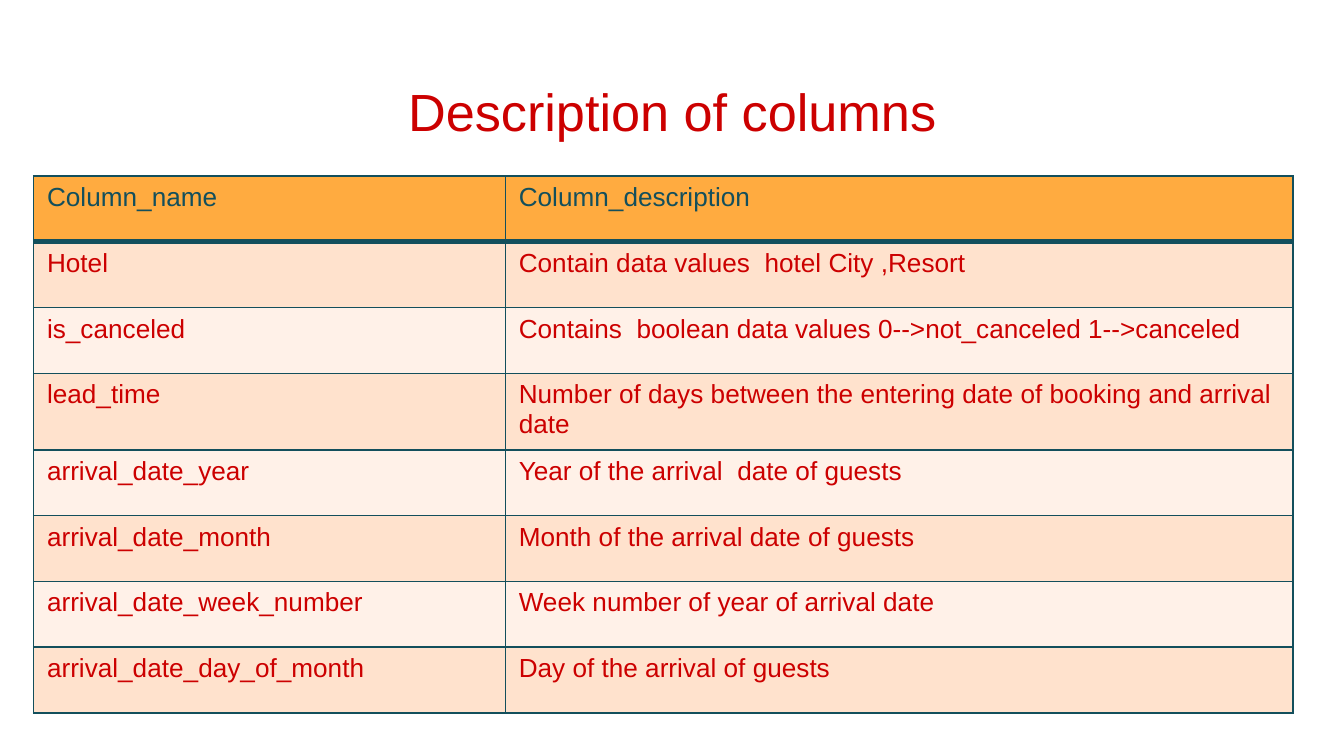
from lxml.etree import SubElement
from pptx import Presentation
from pptx.dml.color import RGBColor
from pptx.enum.text import MSO_ANCHOR as Anchor, PP_ALIGN as Align
from pptx.oxml.ns import qn
from pptx.util import Inches, Pt

COLORS = {
    "red": "CC0000",
    "teal": "134F5C",
    "orange": "FFAB40",
    "peach": "FFE2CD",
    "cream": "FFF1E8",
}
COLUMN_WIDTHS = [3.51, 5.86]
ROW_HEIGHT = 0.49
ROWS = [
    ("Column_name", "Column_description"),
    ("Hotel", "Contain data values  hotel City ,Resort"),
    ("is_canceled", "Contains  boolean data values 0-->not_canceled 1-->canceled"),
    ("lead_time", "Number of days between the entering date of booking and arrival date"),
    ("arrival_date_year", "Year of the arrival  date of guests"),
    ("arrival_date_month", "Month of the arrival date of guests"),
    ("arrival_date_week_number", "Week number of year of arrival date"),
    ("arrival_date_day_of_month", "Day of the arrival of guests"),
]


def style_paragraph(para, size, color):
    para.font.name = "Arial"
    para.font.size = Pt(size)
    para.font.bold = False
    para.font.color.rgb = RGBColor.from_string(COLORS[color])


def add_border(cell, side, width):
    """Draw one side (L, R, T or B) of a cell; call before filling the cell."""
    line = SubElement(cell._tc.get_or_add_tcPr(), qn(f"a:ln{side}"), w=str(Pt(width)))
    fill = SubElement(line, qn("a:solidFill"))
    SubElement(fill, qn("a:srgbClr"), val=COLORS["teal"])


deck = Presentation()
deck.slide_width = Inches(10)
deck.slide_height = deck.slide_width * 9 // 16
page = deck.slides.add_slide(deck.slide_layouts[6])

# Title
title = page.shapes.add_textbox(Inches(0.34), Inches(0.49), Inches(9.32), Inches(0.63))
frame = title.text_frame
frame.word_wrap = True
frame.vertical_anchor = Anchor.BOTTOM
frame.margin_bottom = Inches(0.06)
para = frame.paragraphs[0]
para.text = "Description of columns"
para.alignment = Align.CENTER
style_paragraph(para, 28, "red")

# Table of column descriptions
table_frame = page.shapes.add_table(
    len(ROWS), len(COLUMN_WIDTHS), Inches(0.25), Inches(1.31),
    Inches(sum(COLUMN_WIDTHS)), Inches(4.24),
)
table = table_frame.table
table.first_row = table.horz_banding = False
for column, width in zip(table.columns, COLUMN_WIDTHS):
    column.width = Inches(width)

for r, texts in enumerate(ROWS):
    table.rows[r].height = Inches(ROW_HEIGHT)
    if r == 0:
        fill, ink = "orange", "teal"
    else:
        fill, ink = ("peach" if r % 2 else "cream"), "red"
    for c, text in enumerate(texts):
        cell = table.cell(r, c)
        for side in "LRTB":
            header_rule = (r, side) in [(0, "B"), (1, "T")]
            add_border(cell, side, 3 if header_rule else 1)
        cell.fill.solid()
        cell.fill.fore_color.rgb = RGBColor.from_string(COLORS[fill])
        cell.text = text
        style_paragraph(cell.text_frame.paragraphs[0], 14, ink)

# Row heights reset the frame, so its full height is set last
table_frame.height = Inches(4.24)

deck.save("out.pptx")
